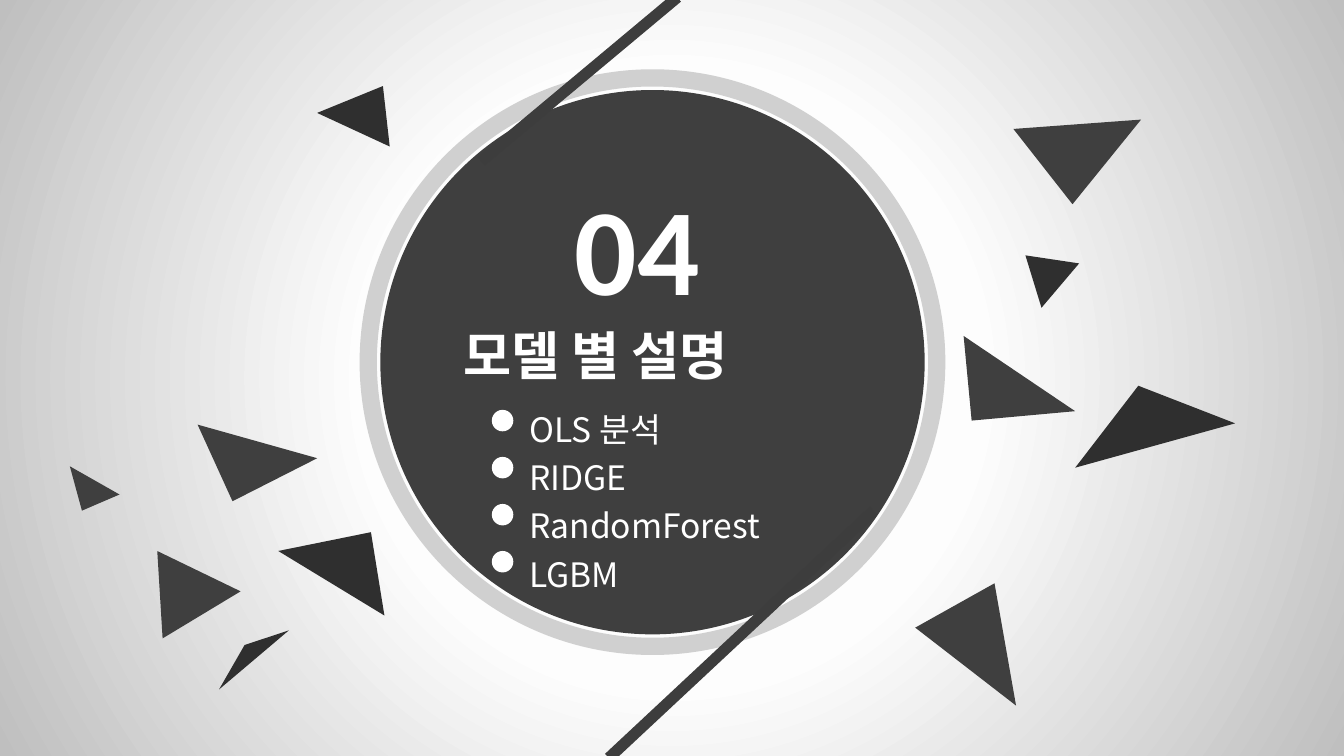
"""Build the section opener slide for the model descriptions."""
import pptx
import pptx.dml.color
import pptx.enum.shapes
import pptx.enum.text
import pptx.oxml
import pptx.oxml.ns
import pptx.util
from pptx.util import Inches

DARK, DARKER, WHITE = "3F3F3F", "2F2F2F", "FFFFFF"
NAMESPACE = 'xmlns:a="http://schemas.openxmlformats.org/drawingml/2006/main"'


def color(value):
    return pptx.dml.color.RGBColor.from_string(value)


def write(holder, text, size, font, bold=False, spacing=1.0):
    frame = holder.text_frame
    frame.text = text
    frame.word_wrap = True
    frame.auto_size = pptx.enum.text.MSO_AUTO_SIZE.NONE
    frame.vertical_anchor = pptx.enum.text.MSO_ANCHOR.TOP
    for paragraph in frame.paragraphs:
        paragraph.alignment = pptx.enum.text.PP_ALIGN.LEFT
        paragraph.line_spacing = spacing
        paragraph.space_before = pptx.util.Pt(0)
        properties = paragraph._p.get_or_add_pPr()
        properties.set("marL", "0")
        properties.set("indent", "0")
        properties.append(pptx.oxml.parse_xml(f"<a:buNone {NAMESPACE}/>"))
        run = paragraph.runs[0]
        run.font.size = pptx.util.Pt(size)
        run.font.bold = bold
        run.font.name = font
        run.font.color.rgb = color(WHITE)
        run.font._element.append(pptx.oxml.parse_xml(f'<a:ea {NAMESPACE} typeface="{font}"/>'))


deck = pptx.Presentation()
deck.slide_width = Inches(10)
deck.slide_height = deck.slide_width * 9 // 16
slide = deck.slides.add_slide(deck.slide_layouts[1])
shapes = slide.shapes
title, topics = slide.placeholders

slide.background.fill.solid()
backdrop = slide.element.find(".//" + pptx.oxml.ns.qn("p:bgPr"))
stops = "".join(
    f'<a:gs pos="{position * 1000}"><a:srgbClr val="{shade}"/></a:gs>'
    for position, shade in [(0, WHITE), (40, "FDFDFD"), (100, "BFBFBF")]
)
backdrop.replace(backdrop[0], pptx.oxml.parse_xml(
    f'<a:gradFill {NAMESPACE} rotWithShape="1"><a:gsLst>{stops}</a:gsLst><a:path path="circle">'
    '<a:fillToRect l="50000" t="50000" r="50000" b="50000"/></a:path></a:gradFill>'
))

oval = pptx.enum.shapes.MSO_SHAPE.OVAL
disc = shapes.add_shape(oval, Inches(2.83), Inches(0.67), Inches(4.05), Inches(4.05))
disc.shadow.inherit = False
disc.fill.solid()
disc.fill.fore_color.rgb = color(DARK)
disc.line.fill.background()

ring = shapes.add_shape(oval, Inches(2.74), Inches(0.58), Inches(4.23), Inches(4.23))
ring.shadow.inherit = False
ring.fill.background()
ring.line.width = pptx.util.Pt(9.25)
ring.line.color.rgb = color("B2B2B2")
ring_color = ring.line._ln.find(".//" + pptx.oxml.ns.qn("a:srgbClr"))
ring_color.append(pptx.oxml.parse_xml(f'<a:alpha {NAMESPACE} val="60000"/>'))

shards = [
    (DARK, [(1.47, 3.16), (2.36, 3.41), (1.73, 3.73)]),
    (DARKER, [(2.86, 4.58), (2.07, 4.1), (2.76, 3.96)]),
    (DARK, [(1.17, 4.1), (1.79, 4.4), (1.21, 4.75)]),
    (DARK, [(0.52, 3.47), (0.61, 3.8), (0.89, 3.68)]),
    (DARKER, [(1.82, 4.8), (1.63, 5.13), (2.15, 4.69)]),
    (DARKER, [(2.85, 0.64), (2.9, 1.09), (2.36, 0.84)]),
    (DARK, [(7.54, 0.96), (8.49, 0.89), (7.98, 1.52)]),
    (DARKER, [(7.63, 1.9), (8.03, 1.96), (7.75, 2.29)]),
    (DARK, [(7.17, 2.5), (7.23, 3.13), (8, 3.06)]),
    (DARKER, [(8.47, 2.87), (8, 3.48), (9.19, 3.15), (8.52, 2.89)]),
    (DARK, [(6.81, 4.67), (7.4, 4.34), (7.56, 5.25)]),
]
for shade, corners in shards:
    start, *others = [(Inches(x), Inches(y)) for x, y in corners]
    outline = shapes.build_freeform(*start)
    outline.add_line_segments(others, close=True)
    shard = outline.convert_to_shape()
    shard.shadow.inherit = False
    shard.fill.solid()
    shard.fill.fore_color.rgb = color(shade)
    shard.line.fill.background()

number = shapes.add_textbox(Inches(4.18), Inches(1.23), Inches(1.34), Inches(1.21))
write(number, "04", size=66, font="Calibri", bold=True)

title.left, title.top, title.width, title.height = map(Inches, (3.35, 2.26, 4.25, 0.62))
write(title, "모델 별 설명", size=28, font="Noto Sans CJK SC", bold=True, spacing=1.2)

topics.left, topics.top, topics.width, topics.height = map(Inches, (3.84, 2.93, 3.76, 1.5))
topic_names = ["OLS 분석", "RIDGE", "RandomForest", "LGBM"]
write(topics, "\n".join(topic_names), size=18, font="Noto Sans CJK SC", spacing=1.2)

for placeholder in (title, topics):
    shapes.element.append(placeholder.element)

for row in range(len(topic_names)):
    dot = shapes.add_shape(oval, Inches(3.66), Inches(3.05 + 0.35 * row), Inches(0.16), Inches(0.16))
    dot.shadow.inherit = False
    dot.fill.solid()
    dot.fill.fore_color.rgb = color(WHITE)
    dot.line.fill.background()

for ends in [(5.04, -0.02, 3.58, 1.2), (6.5, 3.8, 4.53, 5.64)]:
    slash = shapes.add_connector(pptx.enum.shapes.MSO_CONNECTOR.STRAIGHT, *map(Inches, ends))
    slash.line.width = pptx.util.Pt(6)
    slash.line.color.rgb = color("3D3D3D")
    slash.element.spPr.append(pptx.oxml.parse_xml(f"<a:effectLst {NAMESPACE}/>"))

deck.save("out.pptx")
